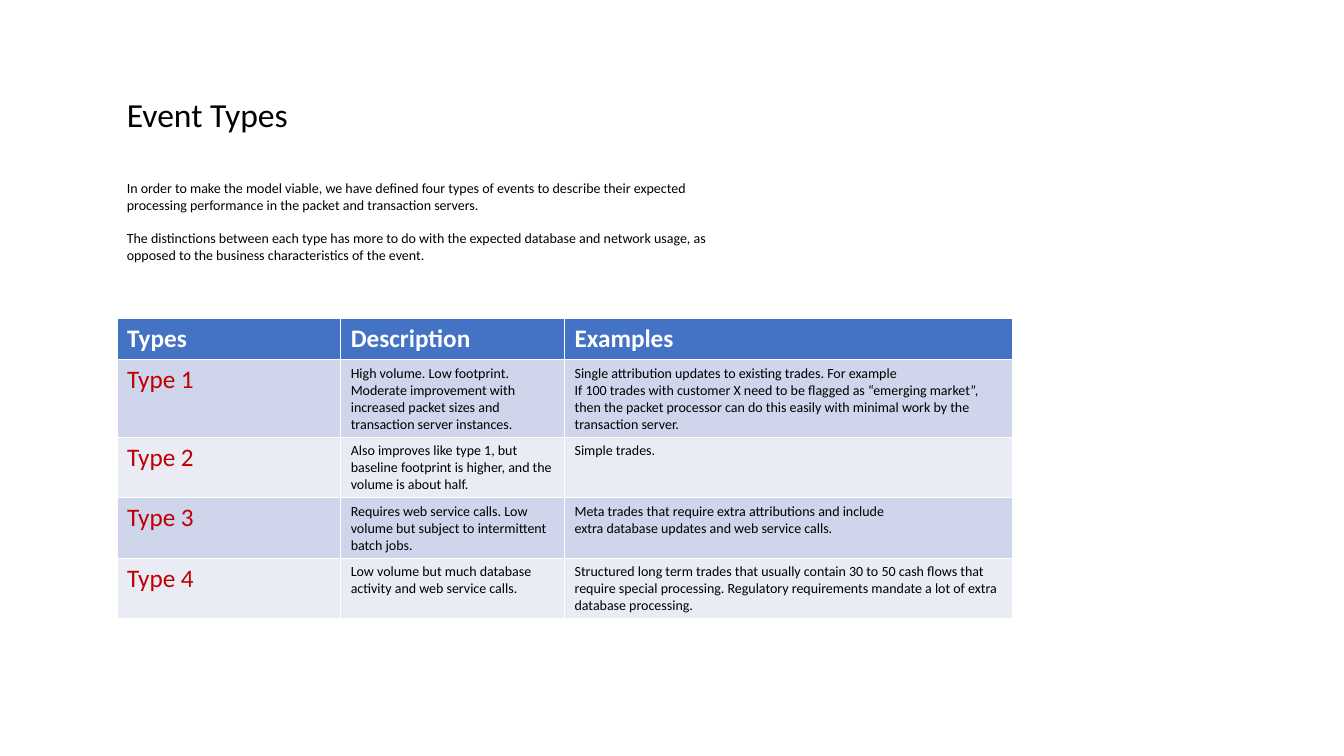
from pptx import Presentation
from pptx.dml.color import RGBColor as RGB
from pptx.util import Inches, Pt

COLORS = {
    "text": "000000",
    "head": "FFFFFF",
    "type": "C00000",
    "blue": "4472C4",
    "dark band": "CFD5EA",
    "light band": "E9EBF5",
}
TITLE = ["Event Types"]
INTRO = [
    "In order to make the model viable, we have defined four types of events to describe "
    "their expected processing performance in the packet and transaction servers.",
    "The distinctions between each type has more to do with the expected database and "
    "network usage, as opposed to the business characteristics of the event.",
]
HEADS = ["Types", "Description", "Examples"]
EVENTS = [
    (
        "Type 1",
        "High volume. Low footprint.\n"
        "Moderate improvement with increased packet sizes and transaction server instances.",
        "Single attribution updates to existing trades. For example\n"
        "If 100 trades with customer X need to be flagged as “emerging market”, then the "
        "packet processor can do this easily with minimal work by the transaction server.",
    ),
    (
        "Type 2",
        "Also improves like type 1, but baseline footprint is higher, and the volume is "
        "about half.",
        "Simple trades.",
    ),
    (
        "Type 3",
        "Requires web service calls. Low volume but subject to intermittent batch jobs.",
        "Meta trades that require extra attributions and include\n"
        "extra database updates and web service calls.",
    ),
    (
        "Type 4",
        "Low volume but much database activity and web service calls.",
        "Structured long term trades that usually contain 30 to 50 cash flows that require "
        "special processing. Regulatory requirements mandate a lot of extra database "
        "processing.",
    ),
]
LEFT = 1.16
TABLE_TOP = 3.16
WIDTHS = [2.22, 2.22, 4.44]
ROW = 0.41


def write(frame, text, size, color, bold=False, gap=0):
    """Fill a text frame, with gap points between its paragraphs."""
    frame.text = text
    for i, para in enumerate(frame.paragraphs):
        if i and gap:
            para.space_before = Pt(gap)
        for run in para.runs:
            font = run.font
            font.name, font.size, font.bold = "Calibri", Pt(size), bold
            font.color.rgb = RGB.from_string(COLORS[color])


def add_text(slide, lines, top, width, height, size, gap=0):
    box = slide.shapes.add_textbox(Inches(LEFT), Inches(top), Inches(width), Inches(height))
    box.text_frame.word_wrap = True
    write(box.text_frame, "\n".join(lines), size, "text", gap=gap)


def add_events(slide):
    rows = [HEADS] + EVENTS
    table = slide.shapes.add_table(
        len(rows), len(HEADS), Inches(LEFT), Inches(TABLE_TOP),
        Inches(sum(WIDTHS)), Inches(ROW * len(rows)),
    ).table
    for col, width in zip(table.columns, WIDTHS):
        col.width = Inches(width)
    for r, row in enumerate(rows):
        band = "blue" if r == 0 else "dark band" if r % 2 else "light band"
        for c, text in enumerate(row):
            cell = table.cell(r, c)
            cell.fill.solid()
            cell.fill.fore_color.rgb = RGB.from_string(COLORS[band])
            if r == 0:
                write(cell.text_frame, text, 18, "head", bold=True)
            elif c == 0:
                write(cell.text_frame, text, 18, "type")
            else:
                write(cell.text_frame, text, 10, "text")


def main():
    deck = Presentation()
    deck.slide_width, deck.slide_height = Inches(13.33), Inches(7.5)
    slide = deck.slides.add_slide(deck.slide_layouts[6])
    add_text(slide, TITLE, 0.88, 6.67, 0.5, 24)
    add_text(slide, INTRO, 1.73, 5.96, 0.94, 10, gap=12)
    add_events(slide)
    deck.save("out.pptx")


if __name__ == "__main__":
    main()
